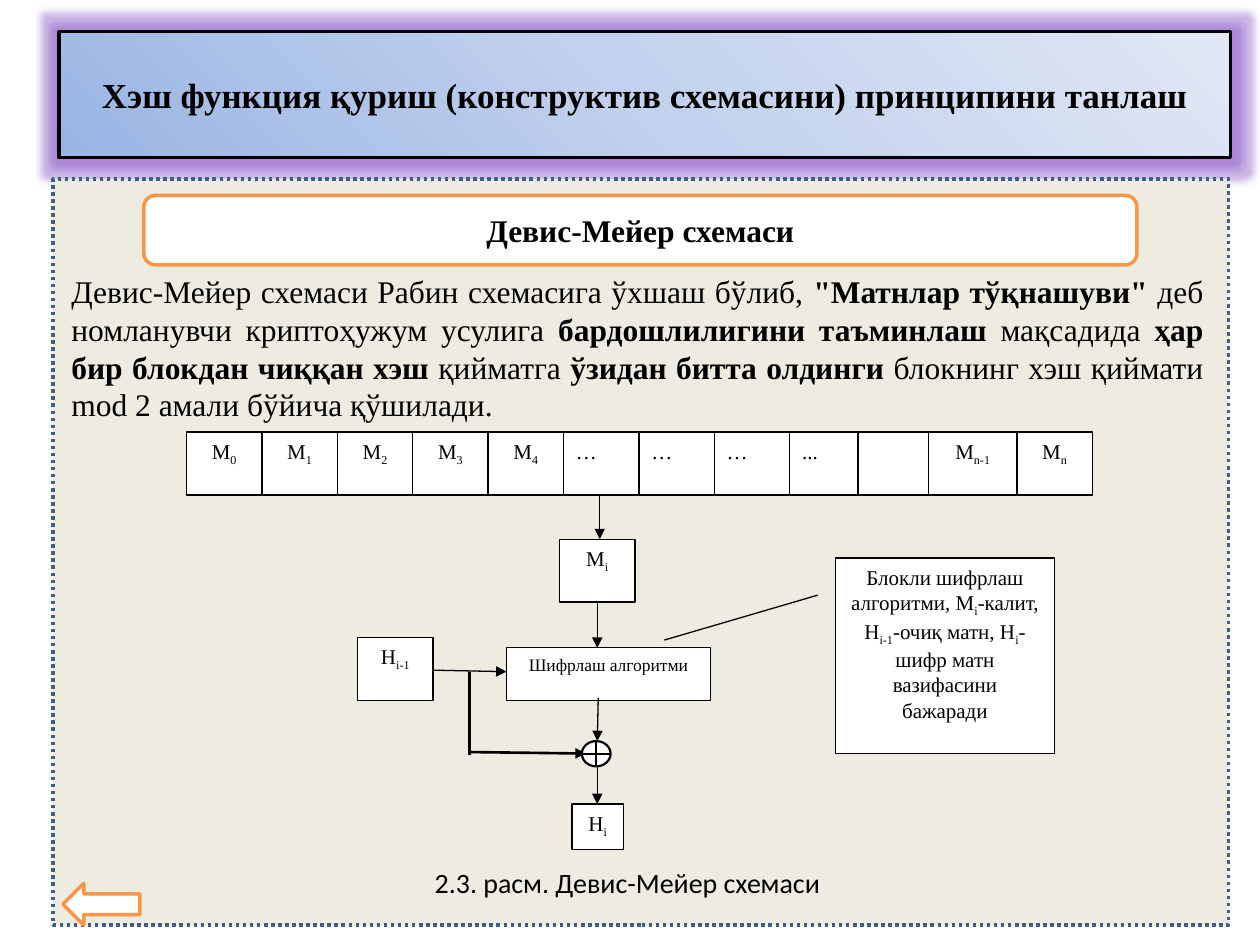
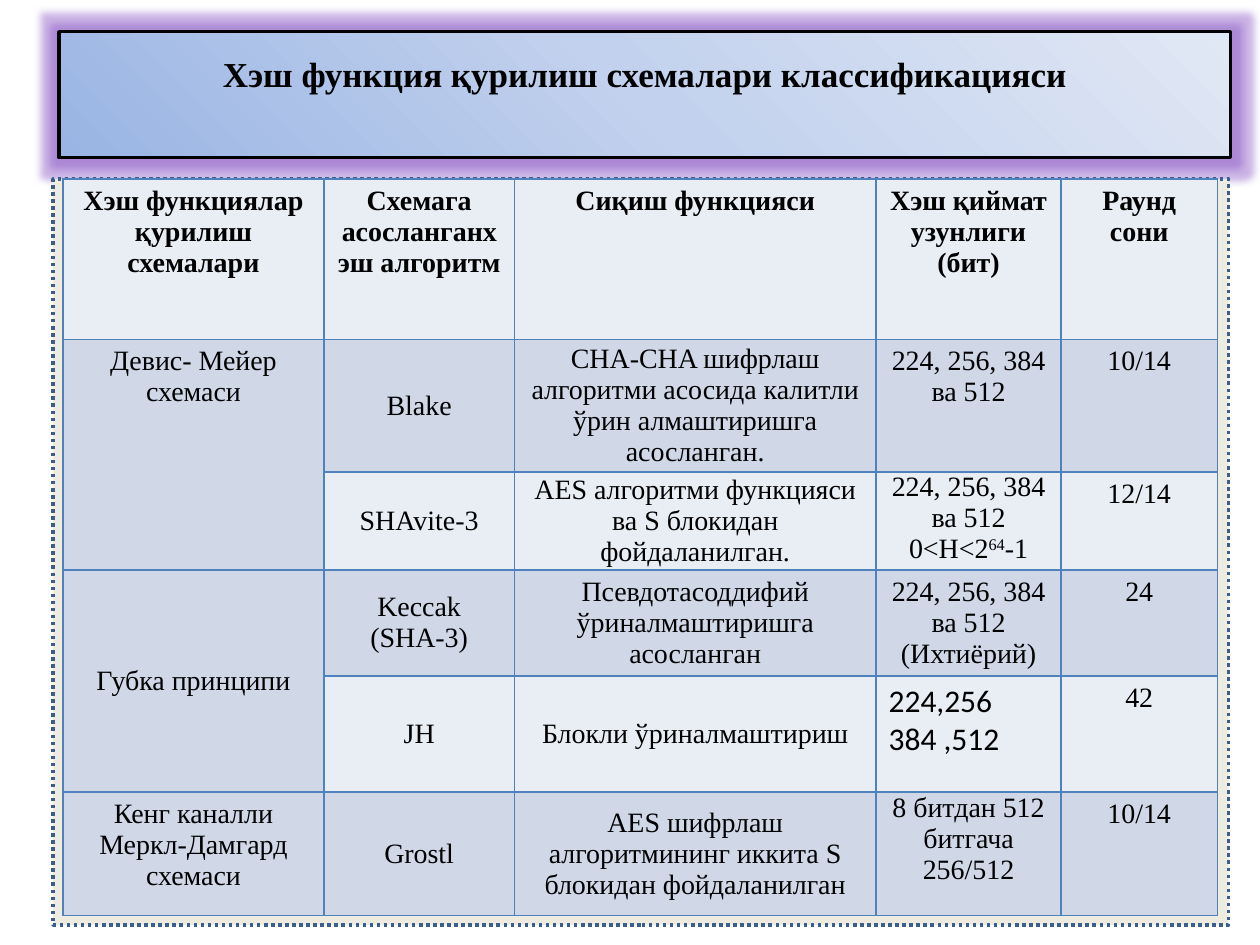
from lxml import etree
from pptx import Presentation
from pptx.dml.color import RGBColor
from pptx.enum import dml, shapes, text
from pptx.oxml import ns, parse_xml
from pptx.util import Cm, Pt

COLORS = {
    "ink": "000000", "paper": "FFFFFF", "panel": "EEECE1", "panel_line": "3A5F8C",
    "accent": "F79646", "glow": "7E45C0", "grid": "4F81BD",
    "row_light": "E9EDF4", "row_dark": "D0D8E8",
    "title_start": "9AB5E4", "title_middle": "C2D1ED", "title_end": "E1E8F5",
}
SERIF, SANS = "Times New Roman", "Calibri"
SUBSCRIPT = {"baseline": "-25000"}
SUPERSCRIPT = {"baseline": "30000"}
BOLD = {"b": "1"}
CENTER, LEFT, JUSTIFY = text.PP_ALIGN.CENTER, text.PP_ALIGN.LEFT, text.PP_ALIGN.JUSTIFY
TOP, MIDDLE = text.MSO_ANCHOR.TOP, text.MSO_ANCHOR.MIDDLE
KIND = shapes.MSO_SHAPE
NAMESPACE = f'xmlns:a="{ns.nsuri("a")}"'

TITLE_FILL = f"""<a:gradFill {NAMESPACE} rotWithShape="1"><a:gsLst>
<a:gs pos="0"><a:srgbClr val="{COLORS['title_start']}"/></a:gs>
<a:gs pos="50000"><a:srgbClr val="{COLORS['title_middle']}"/></a:gs>
<a:gs pos="100000"><a:srgbClr val="{COLORS['title_end']}"/></a:gs></a:gsLst>
<a:path path="circle"><a:fillToRect l="0" t="100000" r="100000" b="0"/></a:path></a:gradFill>"""
TITLE_GLOW = f"""<a:glow {NAMESPACE} rad="101600"><a:srgbClr val="{COLORS['glow']}">
<a:alpha val="40000"/></a:srgbClr></a:glow>"""


def write(frame, content, size=12, font=SERIF, bold=False, align=CENTER,
          anchor=TOP, accent=SUBSCRIPT):
    """Lines become paragraphs; every second part between bars takes the accent."""
    frame.word_wrap = True
    frame.vertical_anchor = anchor
    for number, line in enumerate(content.split("\n")):
        paragraph = frame.paragraphs[0] if number == 0 else frame.add_paragraph()
        paragraph.alignment = align
        for position, part in enumerate(line.split("|")):
            run = paragraph.add_run()
            run.text = part
            run.font.size, run.font.name, run.font.bold = Pt(size), font, bold
            run.font.color.rgb = RGBColor.from_string(COLORS["ink"])
            if position % 2:
                for key, value in accent.items():
                    run._r.get_or_add_rPr().set(key, value)


def add_box(slide, place, kind=KIND.RECTANGLE, fill="paper", line="ink", weight=0.75):
    shape = slide.shapes.add_shape(kind, *map(Cm, place))
    shape.shadow.inherit = False
    shape.fill.solid()
    shape.fill.fore_color.rgb = RGBColor.from_string(COLORS[fill])
    shape.line.color.rgb = RGBColor.from_string(COLORS[line])
    shape.line.width = Pt(weight)
    return shape


presentation = Presentation()
presentation.slide_width, presentation.slide_height = Cm(25.4), Cm(19.05)

# Shared title band and dotted panel; the second title sits higher in its band
titles = [
    ("Хэш функция қуриш (конструктив схемасини) принципини танлаш", 0.13),
    ("Хэш функция қурилиш схемалари классификацияси", 0.98),
]
for title, bottom in titles:
    slide = presentation.slides.add_slide(presentation.slide_layouts[6])
    band = add_box(slide, (1.19, 0.64, 23.62, 2.54), weight=2)
    properties = band._element.spPr
    properties.replace(properties.find(ns.qn("a:solidFill")), parse_xml(TITLE_FILL))
    properties.find(ns.qn("a:effectLst")).append(parse_xml(TITLE_GLOW))
    band.text_frame.margin_bottom = Cm(bottom)
    write(band.text_frame, title, size=20, bold=True, anchor=MIDDLE)
    panel = add_box(slide, (1.07, 3.61, 23.7, 15.04), fill="panel", line="panel_line", weight=2)
    panel.line.dash_style = dml.MSO_LINE.ROUND_DOT
scheme_slide, table_slide = presentation.slides

# Scheme heading, explanation and caption
heading = add_box(scheme_slide, (2.9, 3.94, 20.02, 1.4), KIND.ROUNDED_RECTANGLE,
                  line="accent", weight=2)
write(heading.text_frame, "Девис-Мейер схемаси", size=18, bold=True, anchor=MIDDLE)
caption = scheme_slide.shapes.add_textbox(Cm(6.96), Cm(17.32), Cm(11.38), Cm(0.94))
write(caption.text_frame, "2.3. расм. Девис-Мейер схемаси", size=16, font=SANS)
explanation = scheme_slide.shapes.add_textbox(Cm(1.19), Cm(5.36), Cm(23.32), Cm(3.33))
write(explanation.text_frame,
      'Девис-Мейер схемаси Рабин схемасига ўхшаш бўлиб, |"Матнлар тўқнашуви" |деб номланувчи '
      "криптоҳужум усулига |бардошлилигини таъминлаш |мақсадида |ҳар бир блокдан чиққан хэш"
      "| қийматга |ўзидан битта олдинги |блокнинг хэш қиймати mod 2 амали бўйича қўшилади.",
      size=18, align=JUSTIFY, accent=BOLD)

# Row of message blocks
block_labels = ["М|0", "М|1", "М|2", "М|3", "М|4", "…", "…", "…", "..."]
blocks = [(3.76 + 1.52 * index, 1.52, label) for index, label in enumerate(block_labels)]
blocks += [(17.3, 1.68, ""), (18.72, 1.78, "М|n-1"), (20.5, 1.52, "М|n")]
for left, width, label in blocks:
    block = add_box(scheme_slide, (left, 8.71, width, 1.27))
    if label:
        write(block.text_frame, label, align=CENTER if "|" in label else LEFT)

# Scheme nodes
nodes = [
    ((7.21, 12.85, 1.52, 1.27), "H|i-1", 12),
    ((10.21, 13.06, 4.11, 1.07), "Шифрлаш алгоритми", 10),
    ((11.28, 10.87, 1.52, 1.27), "М|i", 12),
    ((11.53, 16.21, 1.04, 0.91), "H|i", 12),
]
for place, label, size in nodes:
    write(add_box(scheme_slide, place).text_frame, label, size=size)

# Callout about the cipher
callout = add_box(scheme_slide, (16.84, 11.25, 4.42, 3.94), KIND.LINE_CALLOUT_1)
for index, value in enumerate([0.19, -0.08, 0.42, -0.78]):
    callout.adjustments[index] = value
write(callout.text_frame,
      "Блокли шифрлаш алгоритми, M|i|-калит, H|i-1|-очиқ матн, H|i|-шифр матн вазифасини бажаради")

# Connections: ends, weight, arrowhead
connections = [
    ((8.74, 13.51, 10.21, 13.54), 0.75, True),
    ((12.04, 12.14, 12.04, 13.06), 0.75, True),
    ((12.06, 14.07, 12.04, 14.94), 0.75, True),
    ((12.04, 15.44, 12.04, 16.21), 0.75, True),
    ((12.09, 9.96, 12.09, 10.87), 0.75, True),
    ((9.47, 13.54, 9.47, 15.21), 1.5, False),
    ((9.45, 15.16, 11.81, 15.19), 1.5, True),
]
for ends, weight, has_head in connections:
    connector = scheme_slide.shapes.add_connector(shapes.MSO_CONNECTOR.STRAIGHT, *map(Cm, ends))
    connector.line.color.rgb = RGBColor.from_string(COLORS["ink"])
    connector.line.width = Pt(weight)
    if has_head:
        etree.SubElement(connector.line._get_or_add_ln(), ns.qn("a:tailEnd"), type="triangle")
    etree.SubElement(connector._element.spPr, ns.qn("a:effectLst"))

# Sum sign and back arrow
add_box(scheme_slide, (11.73, 14.94, 0.58, 0.51), KIND.FLOWCHART_OR, weight=1.25)
add_box(scheme_slide, (1.27, 17.81, 1.55, 0.84), KIND.LEFT_ARROW, line="accent", weight=2)

# Classification table; None continues the cell above
rows = [
    ["Хэш функциялар\nқурилиш схемалари", "Схемага асосланганхэш алгоритм", "Сиқиш функцияси",
     "Хэш қиймат узунлиги (бит)", "Раунд сони"],
    ["Девис- Мейер схемаси", "Blake",
     "CHA-CHA шифрлаш алгоритми асосида калитли ўрин алмаштиришга асосланган.",
     "224, 256, 384 ва 512", "10/14"],
    [None, "SHAvite-3", "AES алгоритми функцияси ва S блокидан фойдаланилган.",
     "224, 256, 384 ва 512\n0<H<2|64|-1", "12/14"],
    ["Губка принципи", "Keccak\n(SHA-3)", "Псевдотасоддифий ўриналмаштиришга асосланган",
     "224, 256, 384 ва 512\n(Ихтиёрий)", "24"],
    [None, "JH", "Блокли ўриналмаштириш", "224,256\n384 ,512", "42"],
    ["Кенг каналли Меркл-Дамгард схемаси", "Grоstl",
     "AES шифрлаш алгоритмининг иккита S блокидан фойдаланилган",
     "8 битдан 512 битгача\n256/512", "10/14"],
]
column_widths = [5.26, 3.84, 7.29, 3.73, 3.15]
row_heights = [3.23, 2.67, 1.98, 1.98, 2.34, 2.49]
tight_top = {(2, 3), (5, 3)}
sans_cell = (4, 3)

table = table_slide.shapes.add_table(len(rows), len(column_widths), Cm(1.27), Cm(3.61),
                                     Cm(sum(column_widths)), Cm(sum(row_heights))).table
table.first_row = table.horz_banding = False
for column, width in zip(table.columns, column_widths):
    column.width = Cm(width)
for row, height in zip(table.rows, row_heights):
    row.height = Cm(height)
for top_row in (1, 3):
    table.cell(top_row, 0).merge(table.cell(top_row + 1, 0))

for row_index, labels in enumerate(rows):
    for column_index, label in enumerate(labels):
        cell = table.cell(row_index, column_index)
        position = (row_index, column_index)
        centered = position == (3, 0) or (row_index > 0 and column_index in (1, 2))
        if centered or position in tight_top:
            cell.margin_left = cell.margin_right = Cm(0.18)
            cell.margin_top = cell.margin_bottom = 0
        for side in ("lnL", "lnR", "lnT", "lnB"):
            cell._tc.get_or_add_tcPr().append(parse_xml(
                f'<a:{side} {NAMESPACE} w="12700"><a:solidFill>'
                f'<a:srgbClr val="{COLORS["grid"]}"/></a:solidFill></a:{side}>'))
        dark = row_index % 2 or label is None
        if column_index and row_index % 2 == 0 and row_index < 5:
            dark = False
        dark = dark or row_index == 5
        cell.fill.solid()
        cell.fill.fore_color.rgb = RGBColor.from_string(COLORS["row_dark" if dark else "row_light"])
        if label:
            is_sans = position == sans_cell
            write(cell.text_frame, label, size=18 if is_sans else 16,
                  font=SANS if is_sans else SERIF, bold=row_index == 0,
                  align=LEFT if is_sans else CENTER, accent=SUPERSCRIPT)
            cell.vertical_anchor = MIDDLE if centered else TOP

presentation.save("out.pptx")
